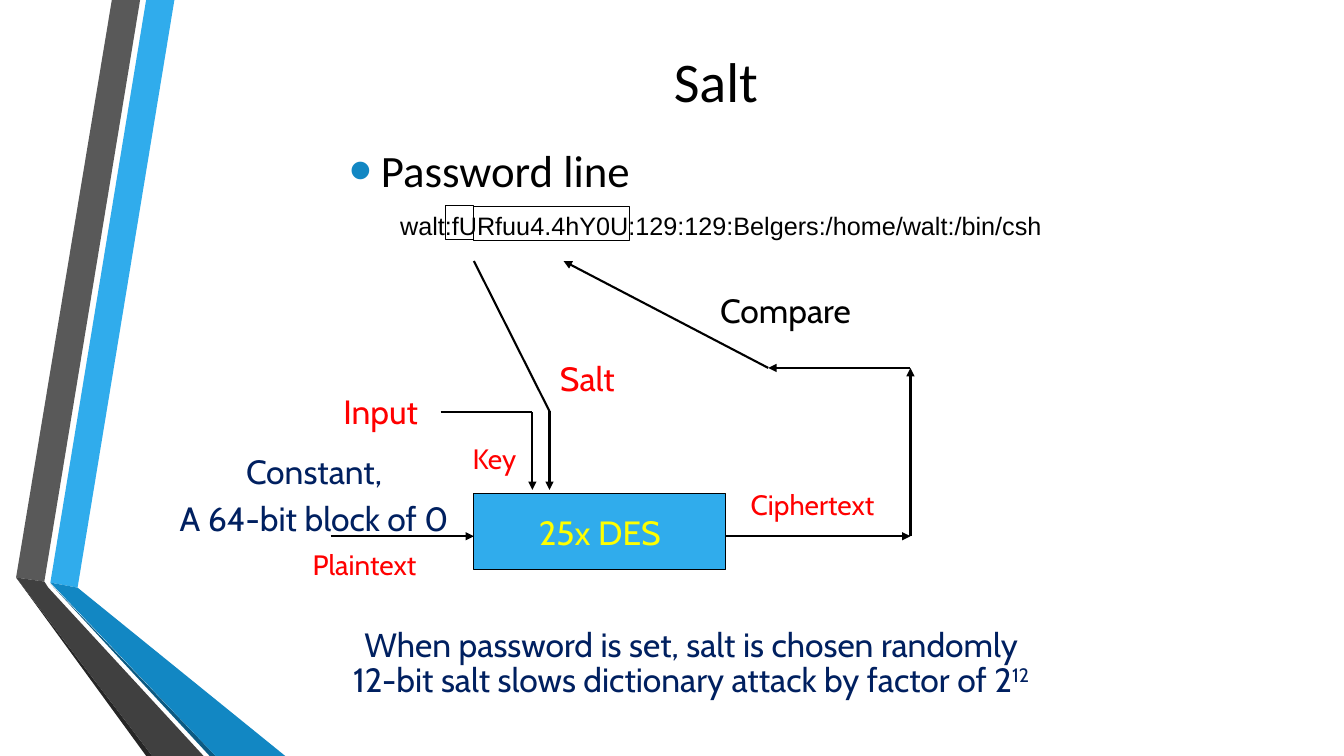
import pptx
import pptx.util
import pptx.dml.color
import pptx.enum.shapes
import pptx.enum.text
import pptx.oxml
import pptx.oxml.ns
import lxml.etree

RGBColor = pptx.dml.color.RGBColor
Pt = pptx.util.Pt
ALIGN = pptx.enum.text.PP_ALIGN
ANCHOR = pptx.enum.text.MSO_ANCHOR

PX = 9144
SKY = RGBColor(0x30, 0xAC, 0xEC)
BLUE = RGBColor(0x12, 0x87, 0xC3)
DEEP_BLUE = RGBColor(0x0C, 0x5A, 0x82)
GRAY = RGBColor(0x59, 0x59, 0x59)
DARK_GRAY = RGBColor(0x40, 0x40, 0x40)
CHARCOAL = RGBColor(0x26, 0x26, 0x26)
BLACK = RGBColor(0, 0, 0)
RED = RGBColor(0xFF, 0, 0)
NAVY = RGBColor(0, 0x20, 0x60)
YELLOW = RGBColor(0xFF, 0xFF, 0)


def emu(*lengths):
    return [length * PX for length in lengths]


def add_child(parent, tag, **attributes):
    child = lxml.etree.SubElement(parent, pptx.oxml.ns.qn(tag))
    for key, value in attributes.items():
        child.set(key, value)
    return child


def style_paragraph(paragraph, size, color, font, align=ALIGN.CENTER):
    paragraph.alignment = align
    paragraph.font.size = Pt(size)
    for run in paragraph.runs:
        run.font.size = Pt(size)
        run.font.name = font
        run.font.color.rgb = color


def add_text(slide, box, text, size, color, font="Cabin", wrap=False):
    label = slide.shapes.add_textbox(*emu(*box))
    frame = label.text_frame
    frame.word_wrap = wrap
    frame.text = text
    for index, paragraph in enumerate(frame.paragraphs):
        style_paragraph(paragraph, size, color, font)
        if index:
            paragraph.space_before = Pt(size * 0.2)
    return frame


def add_box(slide, box, fill=None):
    rectangle = slide.shapes.add_shape(
        pptx.enum.shapes.MSO_SHAPE.RECTANGLE, *emu(*box))
    rectangle.shadow.inherit = False
    if fill is None:
        rectangle.fill.background()
    else:
        rectangle.fill.solid()
        rectangle.fill.fore_color.rgb = fill
    rectangle.line.color.rgb = BLACK
    rectangle.line.width = Pt(0.75)
    return rectangle


def add_line(slide, start, end, arrow=True):
    line = slide.shapes.add_connector(
        pptx.enum.shapes.MSO_CONNECTOR.STRAIGHT, *emu(*start, *end))
    line.line.color.rgb = BLACK
    line.line.width = Pt(1.5)
    if arrow:
        add_child(line.line._get_or_add_ln(), "a:tailEnd", type="triangle")
    add_child(line._element.spPr, "a:effectLst")


def draw_ribbon(slide, left, top):
    bands = [
        (SKY, [(34, 578), (61, 583), (157, 0), (129, 0)]),
        (GRAY, [(123, 0), (95, 0), (0, 573), (28, 577)]),
        (CHARCOAL, [(0, 573), (129, 750), (135, 750)]),
        (DEEP_BLUE, [(34, 579), (192, 750), (198, 750)]),
        (BLUE, [(34, 578), (198, 750), (267, 750), (61, 583)]),
        (DARK_GRAY, [(186, 750), (32, 583), (28, 577), (0, 573), (135, 750)]),
    ]
    for color, points in bands:
        outline = slide.shapes.build_freeform(*points[0], scale=PX)
        outline.add_line_segments(points[1:], close=True)
        band = outline.convert_to_shape(*emu(left, top))
        band.shadow.inherit = False
        band.fill.solid()
        band.fill.fore_color.rgb = color
        band.line.fill.background()


def draw_title(slide, box):
    frame = add_text(slide, box, "Salt", 40, BLACK, "Calibri", wrap=True)
    frame.vertical_anchor = ANCHOR.MIDDLE


def draw_password_line(slide, left, top, width, height):
    body = slide.shapes.add_textbox(*emu(left, top, width, height))
    frame = body.text_frame
    frame.word_wrap = True
    frame.text = ("Password line\n"
                  "walt:fURfuu4.4hY0U:129:129:Belgers:/home/walt:/bin/csh")
    heading, entry = frame.paragraphs
    for paragraph, margin in ((heading, 31), (entry, 81)):
        properties = paragraph._p.get_or_add_pPr()
        properties.set("marL", str(margin * PX))
        properties.set("indent", str(-31 * PX))
    bullet = heading._p.get_or_add_pPr()
    add_child(add_child(bullet, "a:buClr"), "a:srgbClr", val=str(BLUE))
    add_child(bullet, "a:buSzPct", val="145000")
    add_child(bullet, "a:buFont", typeface="Arial")
    add_child(bullet, "a:buChar", char="•")
    style_paragraph(heading, 32, BLACK, "Calibri", ALIGN.LEFT)
    style_paragraph(entry, 18, BLACK, "Arial", ALIGN.LEFT)
    heading.space_after = Pt(6)
    entry.space_before = Pt(3.6)

    add_box(slide, (left + 105, top + 67, 28, 34))
    add_box(slide, (left + 133, top + 68, 154, 34))


def draw_encryption(slide, left, top):
    def at(x, y):
        return left + x, top + y

    cipher = add_box(slide, (*at(305, 231), 250, 75), SKY)
    frame = cipher.text_frame
    frame.word_wrap = False
    frame.vertical_anchor = ANCHOR.MIDDLE
    frame.text = "25x DES"
    style_paragraph(frame.paragraphs[0], 24, YELLOW, "Cabin")

    labels = [
        ("Input", 163, 124, 99, 50, 24, RED),
        ("Salt", 380, 91, 75, 50, 24, RED),
        ("Key", 293, 174, 65, 43, 20, RED),
        ("Constant,\nA 64-bit block of 0", 0, 183, 293, 99, 24, NAVY),
        ("Plaintext", 134, 279, 125, 43, 20, RED),
        ("Ciphertext", 568, 220, 146, 43, 20, RED),
        ("Compare", 538, 24, 152, 50, 24, BLACK),
    ]
    for text, x, y, width, height, size, color in labels:
        add_text(slide, (*at(x, y), width, height), text, size, color)

    routes = [
        [(272, 150), (363, 150), (363, 227)],
        [(305, 0), (380, 149), (380, 227)],
    ]
    for start, bend, end in routes:
        add_line(slide, at(*start), at(*bend), arrow=False)
        add_line(slide, at(*bend), at(*end))
    add_line(slide, at(163, 273), at(305, 273))
    comparison = [(555, 273), (738, 273), (738, 106), (597, 106), (394, 0)]
    for start, end in zip(comparison, comparison[1:]):
        add_line(slide, at(*start), at(*end))


def draw_conclusion(slide, box):
    frame = add_text(
        slide, box,
        "When password is set, salt is chosen randomly\n"
        "12-bit salt slows dictionary attack by factor of 2", 24, NAVY)
    for paragraph in frame.paragraphs:
        paragraph.line_spacing = 0.7
    power = frame.paragraphs[1]
    exponent = power.add_run()
    exponent.text = "12"
    style_paragraph(power, 24, NAVY, "Cabin")
    exponent.font._element.set("baseline", "30000")


def main():
    presentation = pptx.Presentation()
    presentation.slide_width, presentation.slide_height = emu(1333, 750)
    slide = presentation.slides.add_slide(presentation.slide_layouts[6])
    draw_ribbon(slide, 16, 0)
    draw_title(slide, (162, 25, 1096, 109))
    draw_password_line(slide, 337, 137, 900, 119)
    draw_encryption(slide, 165, 259)
    draw_conclusion(slide, (310, 625, 751, 75))
    presentation.save("out.pptx")


if __name__ == "__main__":
    main()
